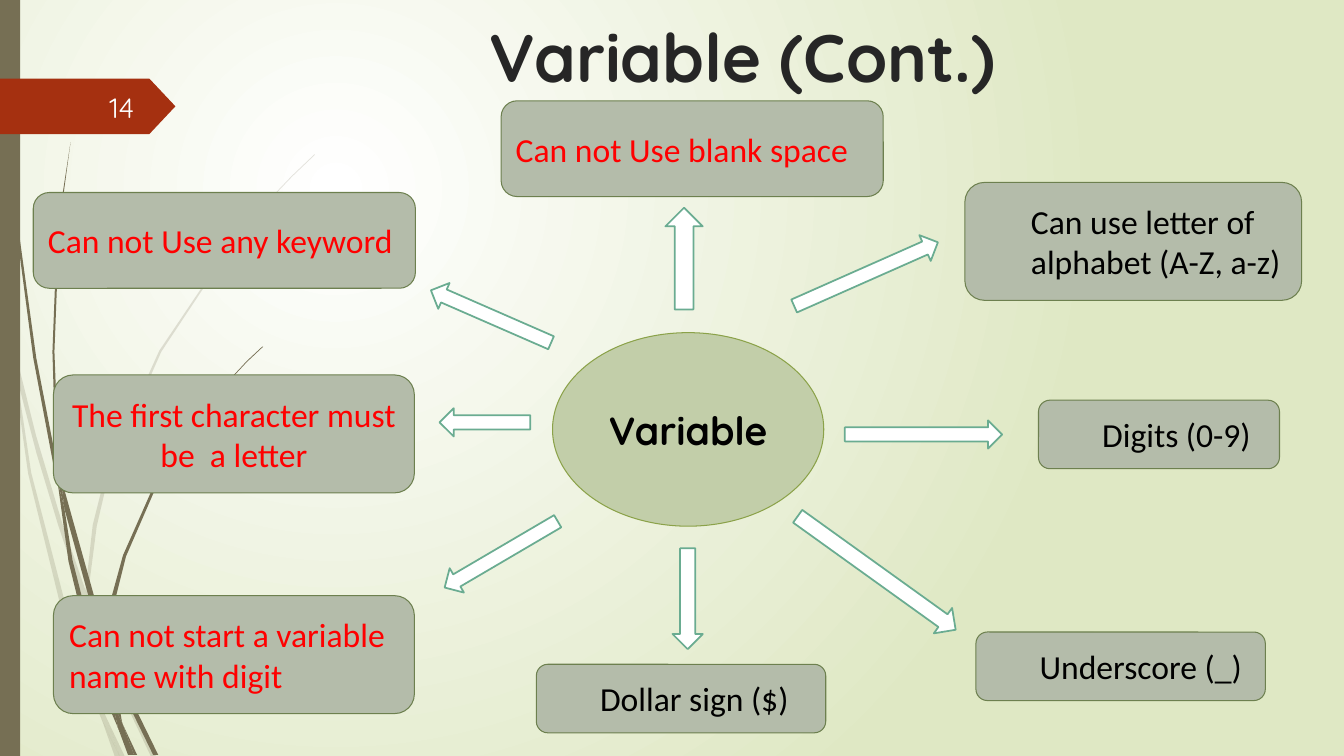
from dataclasses import dataclass

from lxml import etree
from pptx import Presentation
from pptx.dml.color import RGBColor
from pptx.enum.shapes import MSO_SHAPE
from pptx.enum.text import MSO_ANCHOR, PP_ALIGN
from pptx.oxml.ns import qn
from pptx.util import Inches, Pt

RECT = MSO_SHAPE.RECTANGLE
ROUND = MSO_SHAPE.ROUNDED_RECTANGLE
OVAL = MSO_SHAPE.OVAL
ARROW = MSO_SHAPE.RIGHT_ARROW
BADGE = MSO_SHAPE.PENTAGON
LEFT, CENTER, RIGHT = PP_ALIGN.LEFT, PP_ALIGN.CENTER, PP_ALIGN.RIGHT
TOP, MIDDLE = MSO_ANCHOR.TOP, MSO_ANCHOR.MIDDLE


@dataclass(frozen=True)
class Theme:
    heading: str = "Quicksand"
    body: str = "Calibri"
    title_size: int = 48
    hub_size: int = 28
    node_size: int = 24
    number_size: int = 20
    glow: str = "FFFFFF"
    edge: str = "DFE8C4"
    stem: str = "766F54"
    badge: str = "A53010"
    number: str = "FEFFFF"
    title: str = "262626"
    hub: str = "C2CEA9"
    hub_line: str = "8BA249"
    node: str = "B4BCAA"
    node_line: str = "6D804F"
    arrow: str = "FFFFFF"
    arrow_line: str = "6AAC91"
    allowed: str = "000000"
    forbidden: str = "FF0000"


T = Theme()

PALE_STEMS = [
    [(0.11, 3.5), (0.09, 3.22), (0, 2.82), (0, 2.99), (0.1, 3.44)],
    [(0.58, 5.22), (0.84, 5.99), (0.85, 5.86), (0.62, 5.2), (0.36, 4.33), (0.14, 3.45),
     (0.17, 3.76), (0.36, 4.49)],
    [(0.92, 6.07), (0.88, 5.96), (0.88, 6.1), (1.23, 6.94), (1.5, 7.51), (1.55, 7.51), (1.27, 6.92)],
    [(1.19, 7.51), (1.24, 7.51), (1.05, 7.11)],
    [(0.93, 6.83), (0.7, 6.19), (0.31, 4.69), (0.17, 3.76), (0.11, 3.5), (0.28, 4.7),
     (0.65, 6.21), (0.92, 6.93), (1.01, 7.14), (0.99, 7.07)],
    [(0.84, 5.99), (0.87, 6.46), (0.93, 6.83), (0.96, 6.92), (1.05, 7.11), (1.03, 7.06),
     (0.91, 6.46), (0.88, 6.1), (0.88, 6.08)],
    [(0.88, 5.84), (0.96, 5.22), (1.1, 4.62), (1.6, 3.49), (2.29, 2.45), (2.68, 1.98), (2.9, 1.75),
     (3.12, 1.54), (3.12, 1.53), (2.89, 1.75), (2.68, 1.97), (2.28, 2.44), (1.58, 3.48),
     (1.07, 4.61), (0.92, 5.21), (0.85, 5.84), (0.85, 5.86), (0.88, 5.96)],
    [(1.01, 7.14), (1.14, 7.51), (1.19, 7.51)],
    [(0.88, 6.08), (0.88, 6.1), (0.88, 5.96), (0.85, 5.86), (0.84, 5.99)],
    [(0.96, 6.92), (0.93, 6.83), (0.99, 7.07), (1.01, 7.14), (1.19, 7.51), (1.05, 7.11)],
]
DARK_STEMS = [
    [(0.07, 1.1), (0.17, 2.33), (0.33, 3.55), (0.56, 4.77), (0.57, 4.81), (0.55, 4.57),
     (0.55, 4.53), (0.36, 3.55), (0.19, 2.32), (0.08, 1.09), (0.05, 0.48), (0.04, 0),
     (0.03, 0), (0.04, 0.48)],
    [(0.88, 5.92), (1.06, 6.45), (1.06, 6.33), (1.06, 6.31), (0.93, 5.9), (0.6, 4.72), (0.64, 5.05)],
    [(1.13, 6.49), (1.1, 6.41), (1.11, 6.56), (1.32, 7.08), (1.52, 7.49), (1.57, 7.49), (1.36, 7.06)],
    [(1.1, 6.91), (0.98, 6.57), (0.72, 5.56), (0.64, 5.05), (0.57, 4.77), (0.68, 5.57),
     (0.93, 6.59), (1.11, 7.08), (1.17, 7.22), (1.16, 7.17)],
    [(0.6, 4.72), (0.58, 4.53), (0.54, 3.49), (0.58, 2.45), (0.63, 1.93), (0.7, 1.41),
     (0.62, 1.93), (0.56, 2.45), (0.52, 3.49), (0.55, 4.49)],
    [(1.33, 7.49), (1.36, 7.49), (1.22, 7.19)],
    [(0.57, 4.77), (0.64, 5.05), (0.6, 4.72), (0.55, 4.49), (0.55, 4.53)],
    [(1.11, 6.33), (1.15, 5.92), (1.25, 5.52), (1.58, 4.76), (2.05, 4.06), (2.31, 3.74),
     (2.45, 3.59), (2.61, 3.44), (2.6, 3.44), (2.45, 3.58), (2.31, 3.73), (2.04, 4.05),
     (1.56, 4.74), (1.22, 5.51), (1.11, 5.91), (1.06, 6.31), (1.1, 6.41)],
    [(1.17, 7.22), (1.27, 7.49), (1.31, 7.49)],
    [(1.06, 6.45), (1.1, 6.91), (1.16, 7.06), (1.22, 7.19), (1.21, 7.16), (1.11, 6.56), (1.09, 6.51)],
    [(1.16, 7.06), (1.1, 6.91), (1.16, 7.17), (1.17, 7.22), (1.3, 7.49), (1.33, 7.49), (1.22, 7.19)],
]

ALLOWED = [
    ("Can use letter of alphabet (A-Z, a-z)", (9.24, 0.81, 3.34, 1.17)),
    ("Digits (0-9)", (9.97, 2.97, 2.39, 0.68)),
    ("Underscore (_)", (9.35, 5.27, 2.87, 0.68)),
    ("Dollar sign ($)", (4.99, 5.59, 2.87, 0.68)),
]
FORBIDDEN = [
    ("Can not start a variable name with digit", (0.2, 4.91, 3.58, 1.17), LEFT),
    ("The first character must be  a letter", (0.2, 2.72, 3.58, 1.17), CENTER),
    ("Can not Use any keyword", (0, 0.91, 3.79, 0.95), LEFT),
    ("Can not Use blank space", (4.64, 0, 3.79, 0.95), LEFT),
]
ARROWS = [
    ((7.48, 1.58, 1.56, 0.28), 336.1),
    ((8.05, 3.17, 1.56, 0.28), 0),
    ((7.4, 4.53, 1.93, 0.31), 35.7),
    ((5.99, 4.79, 1, 0.3), 90),
    ((3.99, 4.36, 1.3, 0.28), 149.6),
    ((4.03, 3.05, 0.9, 0.28), 180),
    ((3.89, 2, 1.3, 0.28), 203.6),
    ((5.95, 1.38, 1.01, 0.37), 270),
]


def paint(s, fill, line=None, width=0.75):
    s.shadow.inherit = False
    s.fill.solid()
    s.fill.fore_color.rgb = RGBColor.from_string(fill)
    if line:
        s.line.color.rgb = RGBColor.from_string(line)
        s.line.width = Pt(width)
    else:
        s.line.fill.background()


def place(slide, kind, box, origin, *style):
    left, top, width, height = box
    s = slide.shapes.add_shape(kind, Inches(origin[0] + left), Inches(origin[1] + top),
                               Inches(width), Inches(height))
    paint(s, *style)
    return s


def write(s, text, font, size, color, align=LEFT, anchor=MIDDLE, bold=False, indent=0):
    tf = s.text_frame
    tf.word_wrap = True
    tf.vertical_anchor = anchor
    p = tf.paragraphs[0]
    p.text = text
    p.alignment = align
    if indent:
        p._p.get_or_add_pPr().set("marL", str(Inches(indent)))
    p.font.name = font
    p.font.size = Pt(size)
    p.font.bold = bold
    p.font.color.rgb = RGBColor.from_string(color)


def draw_background(slide):
    fill = slide.background.fill
    fill.gradient()
    for stop, color in zip(fill.gradient_stops, (T.glow, T.edge)):
        stop.color.rgb = RGBColor.from_string(color)
    lin = next(slide._element.iter(qn("a:lin")))
    grad = lin.getparent()
    grad.remove(lin)
    circle = etree.SubElement(grad, qn("a:path"), path="circle")
    etree.SubElement(circle, qn("a:fillToRect"), l="50000", t="50000", r="100000", b="100000")


def draw_stems(slide, stems, origin, opacity=100):
    for stem in stems:
        points = [(Inches(origin[0] + x), Inches(origin[1] + y)) for x, y in stem]
        builder = slide.shapes.build_freeform(*points[0])
        builder.add_line_segments(points[1:], close=True)
        s = builder.convert_to_shape()
        paint(s, T.stem)
        if opacity < 100:
            color = next(s._element.spPr.iter(qn("a:srgbClr")))
            etree.SubElement(color, qn("a:alpha"), val=str(opacity * 1000))


def draw_text(slide, box, *args, **style):
    write(slide.shapes.add_textbox(*map(Inches, box)), *args, **style)


def draw_badge(slide, origin, number):
    s = place(slide, BADGE, (0, 0, 1.74, 0.55), origin, T.badge)
    s.adjustments[0] = 0.47
    draw_text(slide, (origin[0] + 0.58, origin[1] + 0.08, 0.85, 0.4),
              number, T.heading, T.number_size, T.number, align=RIGHT)


def draw_diagram(slide, origin):
    hub = place(slide, OVAL, (5.15, 2.3, 2.69, 1.92), origin, T.hub, T.hub_line)
    write(hub, "Variable", T.heading, T.hub_size, T.allowed, align=CENTER, bold=True)
    for text, box in ALLOWED:
        s = place(slide, ROUND, box, origin, T.node, T.node_line)
        write(s, text, T.body, T.node_size, T.allowed, indent=0.5)
    for text, box, align in FORBIDDEN:
        s = place(slide, ROUND, box, origin, T.node, T.node_line)
        write(s, text, T.body, T.node_size, T.forbidden, align=align)
    for box, angle in ARROWS:
        place(slide, ARROW, box, origin, T.arrow, T.arrow_line, 1.25).rotation = angle


def main():
    prs = Presentation()
    prs.slide_width, prs.slide_height = Inches(13.33), Inches(7.5)
    slide = prs.slides.add_slide(prs.slide_layouts[6])
    draw_background(slide)
    draw_stems(slide, PALE_STEMS, (0, 0), opacity=20)
    draw_stems(slide, DARK_STEMS, (0, 0))
    place(slide, RECT, (0, 0, 0.2, 7.5), (0, 0), T.stem)
    draw_badge(slide, (0, 0.78), "14")
    draw_text(slide, (2.49, 0.1, 9.75, 1.1), "Variable (Cont.)", T.heading, T.title_size, T.title,
              align=CENTER, anchor=TOP, bold=True)
    draw_diagram(slide, (0.33, 1))
    prs.save("out.pptx")


if __name__ == "__main__":
    main()
